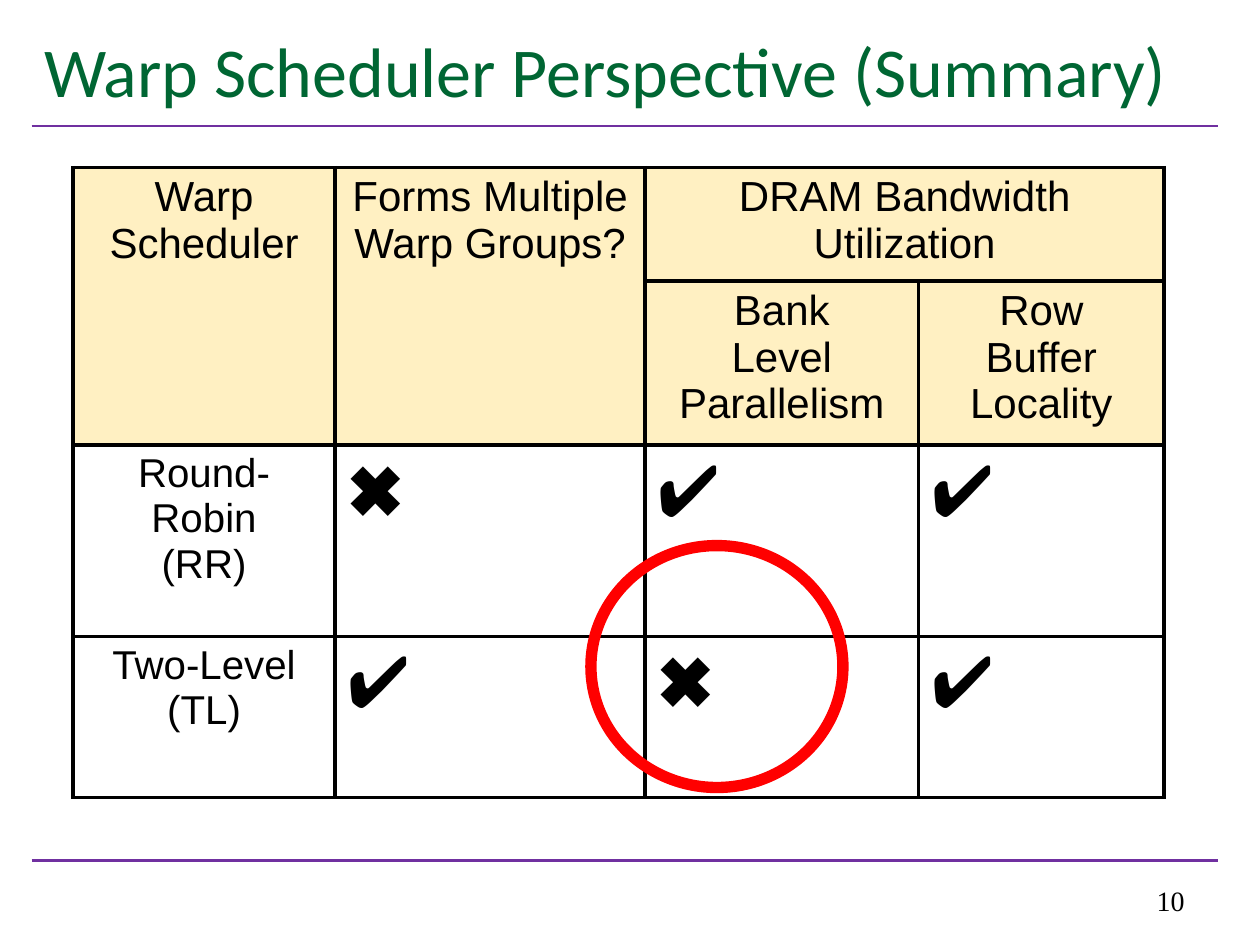
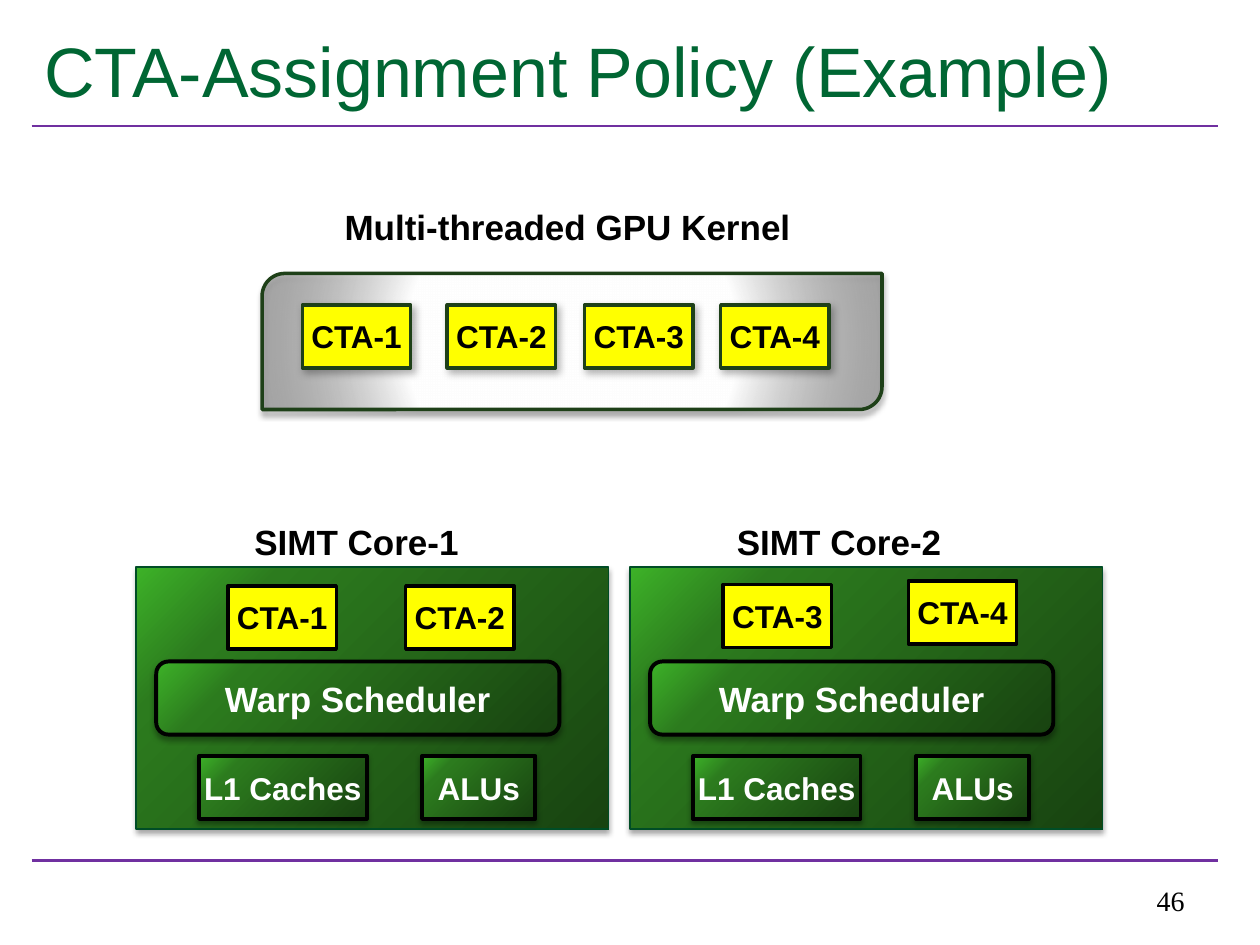
import pptx
import pptx.util
import pptx.dml.color
import pptx.enum.shapes
import pptx.enum.text
import pptx.oxml
import pptx.oxml.ns
from lxml import etree

Inches, Pt = pptx.util.Inches, pptx.util.Pt
SHAPE = pptx.enum.shapes.MSO_SHAPE
ALIGN = pptx.enum.text.PP_ALIGN
ANCHOR = pptx.enum.text.MSO_ANCHOR
qn = pptx.oxml.ns.qn

# Shared look
COLORS = {
    "title": "006633", "rule": "7030A0", "black": "000000", "white": "FFFFFF",
    "header": "FFF0C2", "highlight": "FF0000", "cta": "FFFF00",
    "dark_green": "1E4018", "core_edge": "004D26",
}
RULE_LEFT, RULE_RIGHT, RULE_TOPS = 0.25, 9.67, (6.83, 1)
TITLE_BOX = (0.25, 0.17, 9.42, 0.83)
NUMBER_BOX = (7.17, 6.83, 2.33, 0.5)
# Gradients: (position, colour, opacity) stops and the focus rectangle
GREEN_GRADIENT = ([(0, "184310", 100), (80, "2C7B1E", 100), (100, "3DB228", 100)],
                  (100, 100, 0, 0))
GREY_GRADIENT = ([(0, "FFFFFF", 100), (52, "FFFFFF", 100), (100, "808080", 56)],
                 (50, 50, 50, 50))
# Shadows: opacity, blur, distance, angle
CORE_SHADOW = (35, 3.1, 1.8, 90)
KERNEL_SHADOW = (32, 3.5, 2.2, 90)
CTA_SHADOW = (30, 4.5, 2.6, 53)

# Slide 1 content
SCHEDULER_TITLE = "Warp Scheduler Perspective (Summary)"
TABLE_LEFT, TABLE_TOP = 0.58, 1.33
COLUMN_WIDTHS = (2.08, 2.46, 2.17, 1.95)
ROW_HEIGHTS = (0.81, 0.81, 1.52, 1.28)
HEADER_ROWS = 2
TABLE_ROWS = [
    ["Warp\nScheduler", "Forms Multiple Warp Groups?", "DRAM Bandwidth Utilization", ""],
    ["", "", "Bank\nLevel\nParallelism", "Row\nBuffer\nLocality"],
    ["Round-\nRobin\n(RR)", "✖", "✔", "✔"],
    ["Two-Level (TL)", "✔", "✖", "✔"],
]
MERGES = [((0, 0), (1, 0)), ((0, 1), (1, 1)), ((0, 2), (0, 3))]
HIGHLIGHT_BOX = (4.69, 4.33, 2, 1.92)

# Slide 2 content
POLICY_TITLE = "CTA-Assignment Policy (Example)"
KERNEL_LABEL = ("Multi-threaded GPU Kernel", (2.17, 1.58, 4.67, 0.44))
KERNEL_BOX = (2.08, 2.17, 4.92, 1.08)
KERNEL_CTAS = [("CTA-1", 2.4), ("CTA-2", 3.55), ("CTA-3", 4.64), ("CTA-4", 5.72)]
KERNEL_CTA_TOP = 2.42
CTA_SIZE = (0.86, 0.5)
CORE_TOP, CORE_SIZE = 4.5, (3.75, 2.08)
LABEL_TOP, LABEL_SIZE = 4.08, (2.83, 0.44)
# CTA places and part places are offsets from the core's corner
CORES = [
    {"label": "SIMT Core-1", "left": 1.08, "label_left": 1.92,
     "ctas": [("CTA-1", 0.73, 0.15), ("CTA-2", 2.14, 0.15)]},
    {"label": "SIMT Core-2", "left": 5, "label_left": 5.75,
     "ctas": [("CTA-3", 0.74, 0.14), ("CTA-4", 2.21, 0.11)]},
]
CORE_PARTS = [
    ("Warp Scheduler", SHAPE.ROUNDED_RECTANGLE, (0.16, 0.75, 3.2, 0.58), 20),
    ("ALUs", SHAPE.RECTANGLE, (2.27, 1.5, 0.9, 0.5), 18),
    ("L1 Caches", SHAPE.RECTANGLE, (0.5, 1.5, 1.33, 0.5), 18),
]


def rgb(name):
    return pptx.dml.color.RGBColor.from_string(COLORS[name])


def inches(box):
    return [Inches(length) for length in box]


def write_text(frame, text, size=18, font="Arial", color="black", bold=False,
               align=ALIGN.LEFT):
    for index, line in enumerate(text.split("\n")):
        paragraph = frame.paragraphs[0] if index == 0 else frame.add_paragraph()
        paragraph.alignment = align
        run = paragraph.add_run()
        run.text = line
        run.font.size, run.font.name, run.font.bold = Pt(size), font, bold
        run.font.color.rgb = rgb(color)


def add_label(slide, text, box, anchor=ANCHOR.TOP, **text_format):
    frame = slide.shapes.add_textbox(*inches(box)).text_frame
    frame.word_wrap = True
    frame.vertical_anchor = anchor
    write_text(frame, text, **text_format)


def add_color(parent, color, opacity=100):
    element = etree.SubElement(parent, qn("a:srgbClr"), val=color)
    if opacity < 100:
        etree.SubElement(element, qn("a:alpha"), val=str(opacity * 1000))


def set_gradient(shape, gradient):
    stops, focus = gradient
    shape.fill.background()
    properties = shape._element.spPr
    fill = pptx.oxml.parse_xml(
        f'<a:gradFill {pptx.oxml.ns.nsdecls("a")} rotWithShape="1"/>')
    stop_list = etree.SubElement(fill, qn("a:gsLst"))
    for position, color, opacity in stops:
        stop = etree.SubElement(stop_list, qn("a:gs"), pos=str(position * 1000))
        add_color(stop, color, opacity)
    circle = etree.SubElement(fill, qn("a:path"), path="circle")
    etree.SubElement(circle, qn("a:fillToRect"),
                     {side: str(value * 1000) for side, value in zip("ltrb", focus)})
    properties.replace(properties.find(qn("a:noFill")), fill)


def set_shadow(shape, shadow):
    opacity, blur, distance, angle = shadow
    effects = shape._element.spPr.find(qn("a:effectLst"))
    outer = etree.SubElement(effects, qn("a:outerShdw"), blurRad=str(Pt(blur)),
                             dist=str(Pt(distance)), dir=str(angle * 60000),
                             rotWithShape="0")
    add_color(outer, COLORS["black"], opacity)


def add_box(slide, kind, box, line, line_width, fill=None, gradient=None, shadow=None,
            text="", side_inset=0, **text_format):
    shape = slide.shapes.add_shape(kind, *inches(box))
    shape.shadow.inherit = False
    shape.line.color.rgb = rgb(line)
    shape.line.width = Pt(line_width)
    if gradient:
        set_gradient(shape, gradient)
    elif fill:
        shape.fill.solid()
        shape.fill.fore_color.rgb = rgb(fill)
    else:
        shape.fill.background()
    if shadow:
        set_shadow(shape, shadow)
    if text:
        frame = shape.text_frame
        frame.margin_left = frame.margin_right = Inches(side_inset)
        frame.vertical_anchor = ANCHOR.MIDDLE
        write_text(frame, text, bold=True, align=ALIGN.CENTER, **text_format)
    return shape


def add_cta(slide, text, left, top, line, shadow=None):
    add_box(slide, SHAPE.RECTANGLE, (left, top, *CTA_SIZE), line, 2, fill="cta",
            shadow=shadow, text=text)


def add_base_slide(presentation, title, number, title_font):
    slide = presentation.slides.add_slide(presentation.slide_layouts[5])
    for top in RULE_TOPS:
        rule = slide.shapes.add_connector(
            pptx.enum.shapes.MSO_CONNECTOR.STRAIGHT,
            *inches((RULE_LEFT, top, RULE_RIGHT, top)))
        rule.line.color.rgb = rgb("rule")
        rule.line.width = Pt(1.5)
        etree.SubElement(rule._element.spPr, qn("a:effectLst"))
    placeholder = slide.shapes.title
    (placeholder.left, placeholder.top,
     placeholder.width, placeholder.height) = inches(TITLE_BOX)
    placeholder.text_frame.vertical_anchor = ANCHOR.TOP
    write_text(placeholder.text_frame, title, size=40, font=title_font, color="title")
    add_label(slide, number, NUMBER_BOX, anchor=ANCHOR.BOTTOM, size=16,
              font="Times New Roman", align=ALIGN.RIGHT)
    return slide


def set_borders(cell):
    properties = cell._tc.get_or_add_tcPr()
    for side in ("lnL", "lnR", "lnT", "lnB"):
        border = etree.SubElement(properties, qn(f"a:{side}"), w=str(Pt(2.25)))
        add_color(etree.SubElement(border, qn("a:solidFill")), COLORS["black"])


def add_scheduler_table(slide):
    box = (TABLE_LEFT, TABLE_TOP, sum(COLUMN_WIDTHS), sum(ROW_HEIGHTS))
    table = slide.shapes.add_table(len(ROW_HEIGHTS), len(COLUMN_WIDTHS),
                                   *inches(box)).table
    table.first_row = table.horz_banding = False
    for column, width in zip(table.columns, COLUMN_WIDTHS):
        column.width = Inches(width)
    for row, height in zip(table.rows, ROW_HEIGHTS):
        row.height = Inches(height)
    for first, last in MERGES:
        table.cell(*first).merge(table.cell(*last))
    for row_index, texts in enumerate(TABLE_ROWS):
        for column_index, text in enumerate(texts):
            cell = table.cell(row_index, column_index)
            set_borders(cell)
            is_header = row_index < HEADER_ROWS
            if is_header:
                cell.fill.solid()
                cell.fill.fore_color.rgb = rgb("header")
            else:
                cell.fill.background()
            is_mark = text in ("✖", "✔")
            if text:
                write_text(cell.text_frame, text,
                           size=24 if is_header else 41 if is_mark else 23,
                           align=ALIGN.LEFT if is_mark else ALIGN.CENTER)


def add_core(slide, core):
    left = core["left"]
    add_box(slide, SHAPE.RECTANGLE, (left, CORE_TOP, *CORE_SIZE), "core_edge", 0.75,
            gradient=GREEN_GRADIENT, shadow=CORE_SHADOW)
    for text, kind, (x, y, width, height), size in CORE_PARTS:
        add_box(slide, kind, (left + x, CORE_TOP + y, width, height), "black", 2.25,
                gradient=GREEN_GRADIENT, shadow=CORE_SHADOW, text=text, size=size,
                color="white")
    add_label(slide, core["label"], (core["label_left"], LABEL_TOP, *LABEL_SIZE),
              size=20, bold=True)
    for text, x, y in core["ctas"]:
        add_cta(slide, text, left + x, CORE_TOP + y, "black")


def main():
    presentation = pptx.Presentation()
    presentation.slide_width, presentation.slide_height = Inches(10), Inches(7.5)

    # Scheduler comparison
    slide = add_base_slide(presentation, SCHEDULER_TITLE, "10", "Calibri")
    add_scheduler_table(slide)
    add_box(slide, SHAPE.OVAL, HIGHLIGHT_BOX, "highlight", 6.5)

    # Kernel and its CTAs above the two cores
    slide = add_base_slide(presentation, POLICY_TITLE, "46", "Arial")
    add_box(slide, SHAPE.ROUND_2_DIAG_RECTANGLE, KERNEL_BOX, "dark_green", 2,
            gradient=GREY_GRADIENT, shadow=KERNEL_SHADOW)
    add_label(slide, *KERNEL_LABEL, size=20, bold=True, align=ALIGN.CENTER)
    for text, left in KERNEL_CTAS:
        add_cta(slide, text, left, KERNEL_CTA_TOP, "dark_green", shadow=CTA_SHADOW)
    for core in CORES:
        add_core(slide, core)

    presentation.save("out.pptx")


if __name__ == "__main__":
    main()
